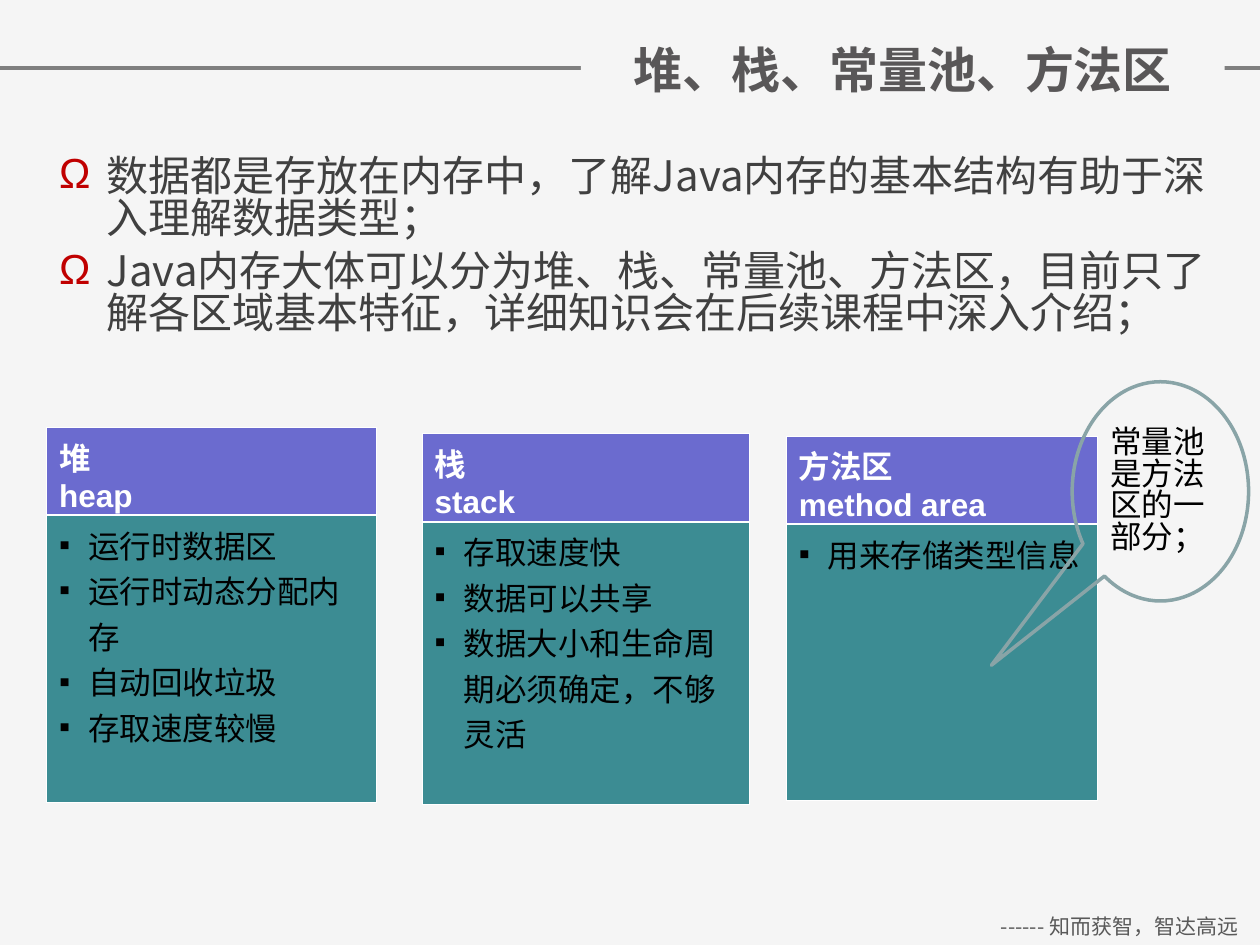
"""Build the slide on Java memory areas: heap, stack, constant pool, method area."""
from lxml import etree
from pptx import Presentation
from pptx.dml.color import RGBColor
from pptx.enum.shapes import MSO_CONNECTOR as Connector, MSO_SHAPE as Shape
from pptx.enum.text import MSO_ANCHOR as Anchor, PP_ALIGN as Align
from pptx.oxml import parse_xml
from pptx.oxml.ns import nsdecls, qn
from pptx.util import Inches, Pt

TITLE = "堆、栈、常量池、方法区"
POINTS = [
    "数据都是存放在内存中，了解Java内存的基本结构有助于深入理解数据类型；",
    "Java内存大体可以分为堆、栈、常量池、方法区，目前只了解各区域基本特征，详细知识会在后续课程中深入介绍；",
]
AREAS = [
    {"heads": ["堆", "heap"], "at": (0.37, 3.39), "size": (2.62, 2.98),
     "traits": ["运行时数据区", "运行时动态分配内存", "自动回收垃圾", "存取速度较慢"]},
    {"heads": ["栈", "stack"], "at": (3.35, 3.44), "size": (2.6, 2.94),
     "traits": ["存取速度快", "数据可以共享", "数据大小和生命周期必须确定，不够灵活"]},
    {"heads": ["方法区", "method area"], "at": (6.24, 3.46), "size": (2.47, 2.89),
     "traits": ["用来存储类型信息"]},
]
CALLOUT = "常量池是方法区的一部分；"
MOTTO = "------ 知而获智，智达高远"

CJK = "Noto Sans CJK SC"
HEAD_HEIGHT = 0.7
THIN, THICK = 0.45, 1.47
TITLE_FONT = {"size": Pt(28), "name": CJK, "bold": True}
POINT_FONT = {"size": Pt(24), "name": CJK}
MOTTO_FONT = {"size": Pt(12), "name": CJK}
HEAD_FONT = {"size": Pt(18), "name": "Arial", "bold": True}
AREA_FONT = {"size": Pt(18), "name": "Arial", "bold": False}
POINT_BULLET = {"char": "Ω", "color": "C00000", "indent": 0.38}
TRAIT_BULLET = {"char": "▪", "color": "000000", "indent": 0.23}


def rgb(value):
    """Turn a hex string into a colour."""
    return RGBColor.from_string(value)


def box(*lengths):
    """Turn inches into slide lengths."""
    return [Inches(length) for length in lengths]


def set_fill(target, color):
    """Fill a shape or cell with one colour."""
    target.fill.solid()
    target.fill.fore_color.rgb = rgb(color)


def add_bullet(paragraph, char, color, indent):
    """Give a paragraph a coloured bullet and a hanging indent."""
    props = paragraph._p.get_or_add_pPr()
    props.set("marL", str(Inches(indent)))
    props.set("indent", str(-Inches(indent)))
    props.append(parse_xml(
        f'<a:buClr {nsdecls("a")}><a:srgbClr val="{color}"/></a:buClr>'))
    props.append(parse_xml(f'<a:buFont {nsdecls("a")} typeface="Arial"/>'))
    props.append(parse_xml(f'<a:buChar {nsdecls("a")} char="{char}"/>'))


def write(frame, lines, font, color, bullet=None, **layout):
    """Write one formatted paragraph per line."""
    for index, line in enumerate(lines):
        paragraph = frame.add_paragraph() if index else frame.paragraphs[0]
        for key, value in layout.items():
            if index or key != "space_before":
                setattr(paragraph, key, value)
        if bullet:
            add_bullet(paragraph, **bullet)
        run = paragraph.add_run()
        run.text = line
        for key, value in font.items():
            setattr(run.font, key, value)
        run.font.color.rgb = rgb(color)
        etree.SubElement(run._r.get_or_add_rPr(), qn("a:ea")).set("typeface", CJK)


def set_borders(cell, top, bottom):
    """Draw white cell borders, placed ahead of the cell fill."""
    widths = {"lnL": THIN, "lnR": THIN, "lnT": top, "lnB": bottom}
    for index, (side, width) in enumerate(widths.items()):
        cell._tc.get_or_add_tcPr().insert(index, parse_xml(
            f'<a:{side} {nsdecls("a")} w="{Pt(width)}"><a:solidFill>'
            f'<a:srgbClr val="FFFFFF"/></a:solidFill></a:{side}>'))


def add_area(slide, heads, at, size, traits):
    """Add one memory area as a heading cell over a bulleted cell."""
    table = slide.shapes.add_table(2, 1, *box(*at, *size)).table
    heights = box(HEAD_HEIGHT, size[1] - HEAD_HEIGHT)
    for row, height in zip(table.rows, heights):
        row.height = height
    head, body = table.cell(0, 0), table.cell(1, 0)
    head.margin_bottom = 0
    write(head.text_frame, heads, HEAD_FONT, "FFFFFF")
    write(body.text_frame, traits, AREA_FONT, "000000", TRAIT_BULLET)
    set_fill(head, "6B6BCF")
    set_fill(body, "3C8C93")
    set_borders(head, THIN, THICK)
    set_borders(body, THICK, THIN)


def add_rule(slide):
    """Add the rule that runs behind the title."""
    rule = slide.shapes.add_connector(Connector.STRAIGHT, *box(0, 0.54, 10, 0.54))
    rule.line.color.rgb = rgb("7F7F7F")
    rule.line.width = Pt(2)
    etree.SubElement(rule._element.spPr, qn("a:effectLst"))
    slide.shapes._spTree.insert(2, rule._element)


def add_title(slide):
    """Place and format the title."""
    title = slide.shapes.title
    title.left, title.top, title.width, title.height = box(4.61, 0.26, 5.11, 0.57)
    set_fill(title, "F5F5F5")
    title.text_frame.vertical_anchor = Anchor.MIDDLE
    write(title.text_frame, [TITLE], TITLE_FONT, "595758", alignment=Align.CENTER)


def add_callout(slide):
    """Add the speech bubble about the constant pool."""
    bubble = slide.shapes.add_shape(Shape.OVAL_CALLOUT, *box(8.51, 3.03, 1.4, 1.74))
    bubble.adjustments[0], bubble.adjustments[1] = -0.958, 0.793
    bubble.shadow.inherit = False
    bubble.fill.background()
    bubble.line.color.rgb = rgb("89A4A7")
    bubble.line.width = Pt(2)
    bubble.text_frame.word_wrap = True
    bubble.text_frame.vertical_anchor = Anchor.MIDDLE
    write(bubble.text_frame, [CALLOUT], AREA_FONT, "000000",
          alignment=Align.LEFT, line_spacing=0.84)


def main():
    """Build and save the slide."""
    deck = Presentation()
    deck.slide_width, deck.slide_height = box(10, 7.5)
    slide = deck.slides.add_slide(deck.slide_layouts[5])
    set_fill(slide.background, "F5F5F5")
    add_rule(slide)
    add_title(slide)

    motto = slide.shapes.add_textbox(*box(7.76, 7.2, 2.25, 0.3)).text_frame
    motto.word_wrap = True
    write(motto, [MOTTO], MOTTO_FONT, "595959", alignment=Align.CENTER)

    points = slide.shapes.add_textbox(*box(0.37, 1.2, 9.35, 1.93)).text_frame
    points.word_wrap = True
    write(points, POINTS, POINT_FONT, "404040", POINT_BULLET,
          space_before=Pt(6), line_spacing=0.84)

    for area in AREAS:
        add_area(slide, **area)
    add_callout(slide)
    deck.save("out.pptx")


if __name__ == "__main__":
    main()
